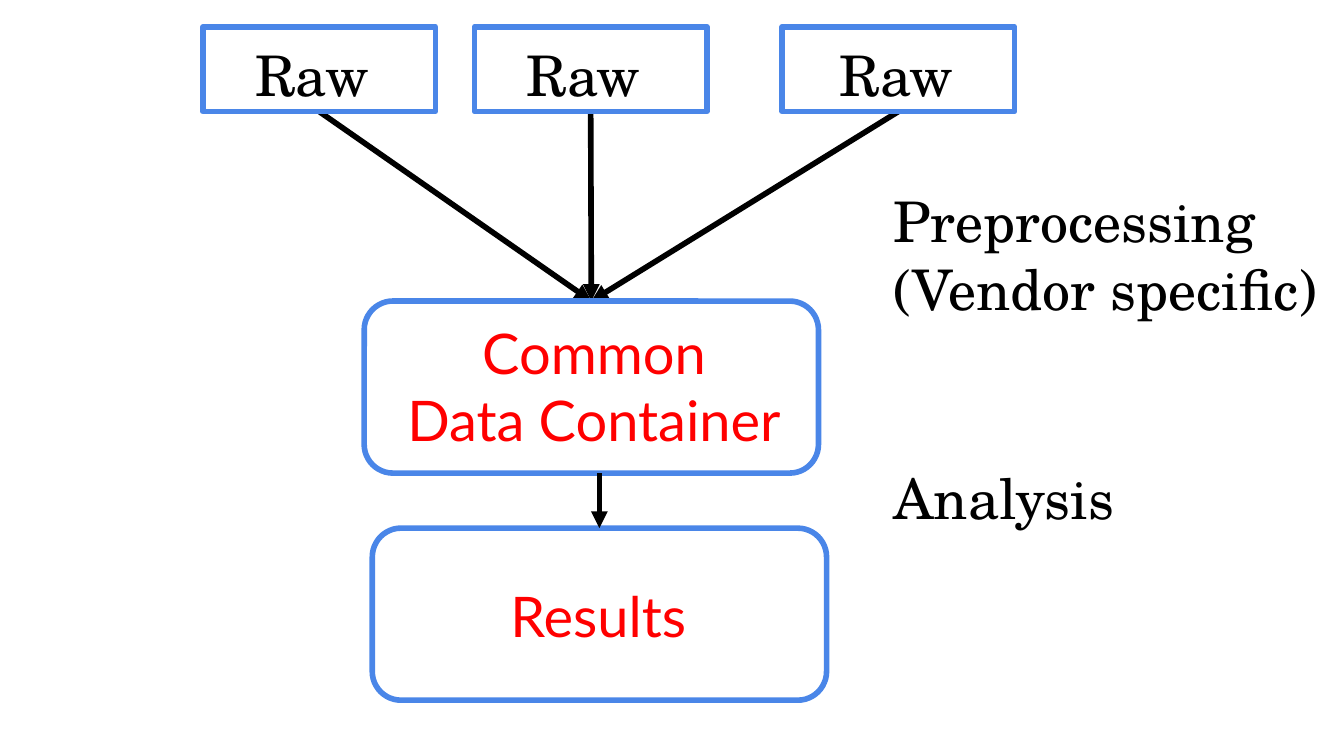
from lxml import etree
from pptx import Presentation
from pptx.dml.color import RGBColor
from pptx.enum.shapes import MSO_CONNECTOR, MSO_SHAPE
from pptx.enum.text import MSO_ANCHOR, PP_ALIGN
from pptx.oxml.ns import qn
from pptx.util import Inches, Pt

# Content
BLUE, RED, BLACK = "4A86E8", "FF0000", "000000"
SANS, SERIF = "Lato", "TeX Gyre Schola"
RAW_LEFTS = [1.51, 3.53, 5.82]
RAW_TEXT_LEFTS = [1.8, 3.82, 6.15]
RAW_TOP, RAW_WIDTH, RAW_HEIGHT = 0.2, 1.73, 0.63
RAW_TEXT_WIDTH = 1.14
STAGE_WIDTH, STAGE_HEIGHT = 3.38, 1.28
CONTAINER = (2.71, 2.24, STAGE_WIDTH, STAGE_HEIGHT)
RESULTS = (2.77, 3.93, STAGE_WIDTH, STAGE_HEIGHT)

# Box, lines, font, colour, alignment
CONTAINER_LABEL = ((2.56, 2.27, 3.72, 1.25), ["Common", "Data Container"],
                   SANS, RED, PP_ALIGN.CENTER)
RESULTS_LABEL = ((3.7, 4.23, 1.67, 0.68), ["Results"], SANS, RED, PP_ALIGN.LEFT)
RAW_LABELS = [((left, RAW_TOP, RAW_TEXT_WIDTH, RAW_HEIGHT), ["Raw"],
               SERIF, BLACK, PP_ALIGN.LEFT) for left in RAW_TEXT_LEFTS]
STEP_LABELS = [
    ((6.55, 1.29, 3.72, 1.38), ["Preprocessing", "(Vendor specific)"],
     SERIF, BLACK, PP_ALIGN.LEFT),
    ((6.55, 3.35, 3.21, 0.63), ["Analysis"], SERIF, BLACK, PP_ALIGN.LEFT),
]

# A 16:9 slide
presentation = Presentation()
presentation.slide_width = Inches(10)
presentation.slide_height = Inches(10 * 9 / 16)
slide = presentation.slides.add_slide(presentation.slide_layouts[6])


def color(value):
    return RGBColor.from_string(value)


def add_box(kind, box):
    shape = slide.shapes.add_shape(kind, *map(Inches, box))
    shape.shadow.inherit = False
    shape.fill.background()
    shape.line.color.rgb = color(BLUE)
    shape.line.width = Pt(3)
    return shape


def add_arrow(start, end):
    arrow = slide.shapes.add_connector(MSO_CONNECTOR.STRAIGHT, *map(Inches, start + end))
    arrow.line.color.rgb = color(BLACK)
    arrow.line.width = Pt(3)
    properties = arrow._element.spPr
    etree.SubElement(properties.find(qn("a:ln")), qn("a:tailEnd"), type="triangle")
    etree.SubElement(properties, qn("a:effectLst"))
    return arrow


def add_label(box, lines, font, text_color, alignment):
    frame = slide.shapes.add_textbox(*map(Inches, box)).text_frame
    frame.word_wrap = True
    frame.vertical_anchor = MSO_ANCHOR.TOP
    frame.margin_left = frame.margin_right = Inches(0.1)
    frame.margin_top = frame.margin_bottom = Inches(0.1)
    for index, line in enumerate(lines):
        paragraph = frame.add_paragraph() if index else frame.paragraphs[0]
        paragraph.alignment = alignment
        run = paragraph.add_run()
        run.text = line
        run.font.name = font
        run.font.size = Pt(30)
        run.font.color.rgb = color(text_color)


# Arrows from the raw boxes lie behind everything else
container_top = (CONTAINER[0] + STAGE_WIDTH / 2, CONTAINER[1])
raw_arrows = [add_arrow((left + RAW_WIDTH / 2, RAW_TOP + RAW_HEIGHT), container_top)
              for left in RAW_LEFTS]

# Boxes and their text
raw_boxes = [add_box(MSO_SHAPE.RECTANGLE, (left, RAW_TOP, RAW_WIDTH, RAW_HEIGHT))
             for left in RAW_LEFTS]
add_label(*CONTAINER_LABEL)
container = add_box(MSO_SHAPE.ROUNDED_RECTANGLE, CONTAINER)
results = add_box(MSO_SHAPE.ROUNDED_RECTANGLE, RESULTS)
add_label(*RESULTS_LABEL)

# Joins
for arrow, raw_box in zip(raw_arrows, raw_boxes):
    arrow.begin_connect(raw_box, 2)
    arrow.end_connect(container, 0)
results_middle = RESULTS[0] + STAGE_WIDTH / 2
results_arrow = add_arrow((results_middle, CONTAINER[1] + STAGE_HEIGHT),
                          (results_middle, RESULTS[1]))
results_arrow.end_connect(results, 0)

# Raw captions and step names
for label in RAW_LABELS + STEP_LABELS:
    add_label(*label)

presentation.save("out.pptx")
